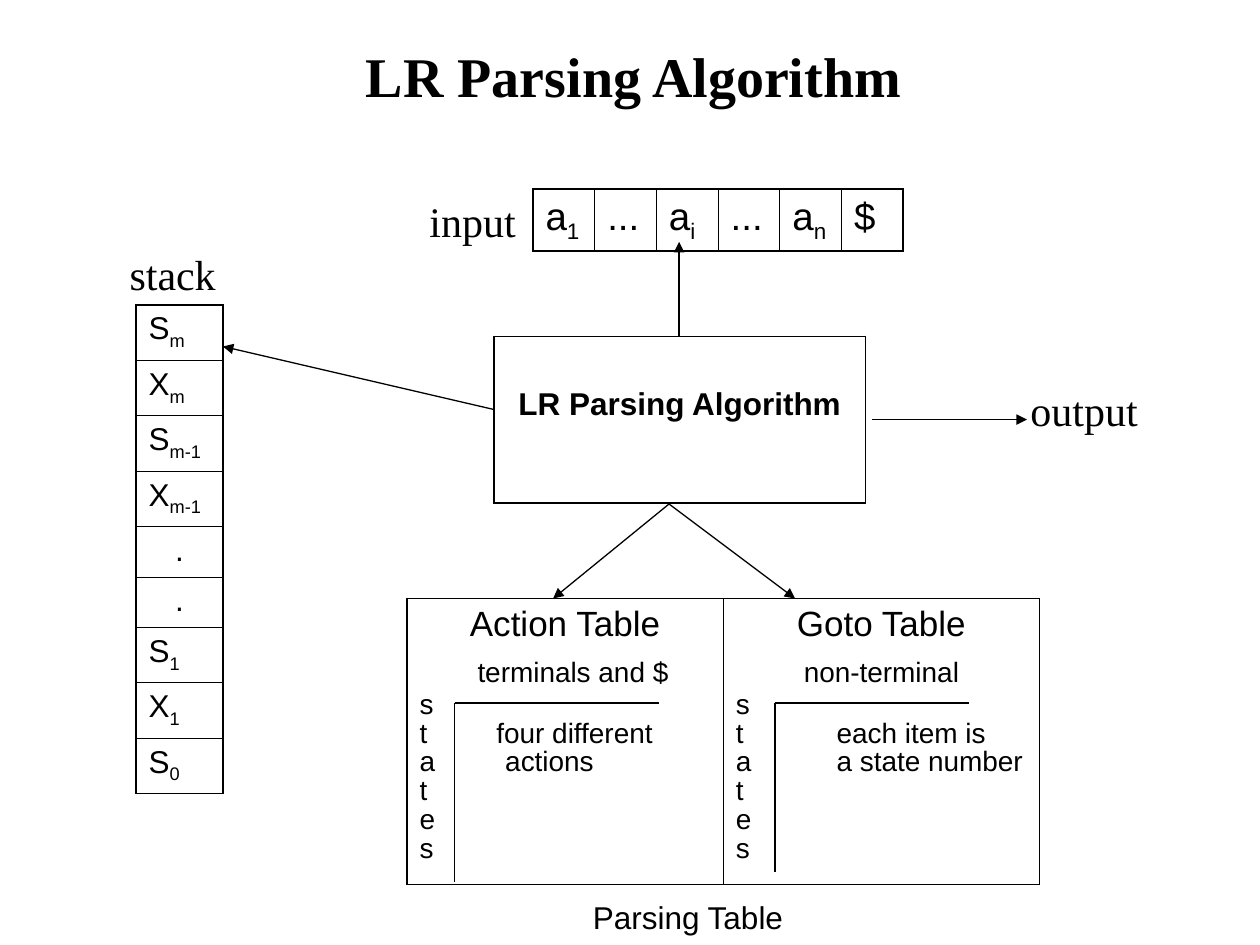
import pptx
import pptx.dml.color
import pptx.enum.shapes
import pptx.enum.text
import pptx.oxml.ns
import pptx.util
from lxml import etree
from pptx.util import Inches

COLORS = {"ink": "000000", "paper": "FFFFFF"}
SANS, SERIF = "Arial", "Times New Roman"
THICK, THIN = 1.08, 0.45
INK = pptx.dml.color.RGBColor.from_string(COLORS["ink"])
CENTER = pptx.enum.text.PP_ALIGN.CENTER
qn = pptx.oxml.ns.qn

presentation = pptx.Presentation()
presentation.slide_width = Inches(10)
presentation.slide_height = Inches(7.5)
slide = presentation.slides.add_slide(presentation.slide_layouts[5])
slide.background.fill.solid()
slide.background.fill.fore_color.rgb = pptx.dml.color.RGBColor.from_string(COLORS["paper"])


def add_run(paragraph, text, size, font=SANS, bold=False, subscript=False):
    run = paragraph.add_run()
    run.text = text
    run.font.size = pptx.util.Pt(size)
    run.font.name = font
    run.font.bold = bold
    run.font.color.rgb = INK
    if subscript:
        run.font._element.set("baseline", "-25000")


def add_grid(left, top, widths, heights):
    """Add an unfilled table with a thick frame and thin inner borders."""
    frame = slide.shapes.add_table(len(heights), len(widths), Inches(left), Inches(top),
                                   Inches(sum(widths)), Inches(sum(heights)))
    table = frame.table
    table.first_row = table.horz_banding = False
    for column, width in zip(table.columns, widths):
        column.width = Inches(width)
    for row, height in zip(table.rows, heights):
        row.height = Inches(height)
    for r in range(len(heights)):
        for c in range(len(widths)):
            cell = table.cell(r, c)
            properties = cell._tc.get_or_add_tcPr()
            on_frame = {"a:lnL": c == 0, "a:lnR": c == len(widths) - 1,
                        "a:lnT": r == 0, "a:lnB": r == len(heights) - 1}
            for tag, outer in on_frame.items():
                width = pptx.util.Pt(THICK if outer else THIN)
                border = etree.SubElement(properties, qn(tag), w=str(int(width)))
                fill = etree.SubElement(border, qn("a:solidFill"))
                etree.SubElement(fill, qn("a:srgbClr"), val=COLORS["ink"])
            cell.fill.background()
    return table


# Title
title = slide.shapes.title
title.left, title.top = Inches(0.33), Inches(0.25)
title.width, title.height = Inches(9.4), Inches(0.7)
title.text_frame.vertical_anchor = pptx.enum.text.MSO_ANCHOR.MIDDLE
title.text_frame.paragraphs[0].alignment = CENTER
add_run(title.text_frame.paragraphs[0], "LR Parsing Algorithm", 32, SERIF, bold=True)

# Stack
stack_items = [("S", "m"), ("X", "m"), ("S", "m-1"), ("X", "m-1"), (".", ""), (".", ""),
               ("S", "1"), ("X", "1"), ("S", "0")]
stack = add_grid(1.08, 2.42, [0.69], [0.44 if index else 0.4 for _, index in stack_items])
for row, (symbol, index) in enumerate(stack_items):
    paragraph = stack.cell(row, 0).text_frame.paragraphs[0]
    add_run(paragraph, symbol, 18)
    if index:
        add_run(paragraph, index, 18, subscript=True)
    else:
        paragraph._p.get_or_add_pPr().set("marL", str(Inches(0.21)))

# Input tape
input_items = [("a", "1"), ("...", ""), ("a", "i"), ("...", ""), ("a", "n"), ("$", "")]
tape = add_grid(4.23, 1.5, [0.49] * len(input_items), [0.49])
for column, (symbol, index) in enumerate(input_items):
    paragraph = tape.cell(0, column).text_frame.paragraphs[0]
    add_run(paragraph, symbol, 22)
    if index:
        add_run(paragraph, index, 22, subscript=True)

# Parsing table: heading, column label and its indent, notes beside "states" and their tab stop
halves = [
    ("Action Table", "terminals and $", 0.46, {1: "four different", 2: "actions"}, {1: 0.61, 2: 0.68}),
    ("Goto Table", "non-terminal", 0.54, {1: "each item is", 2: "a state number"}, {1: 0.8, 2: 0.8}),
]
parsing_table = add_grid(3.23, 4.75, [2.51] * 2, [2.27])
for column, (heading, label, indent, notes, stops) in enumerate(halves):
    text_frame = parsing_table.cell(0, column).text_frame
    text_frame.paragraphs[0].alignment = CENTER
    add_run(text_frame.paragraphs[0], heading, 20)

    paragraph = text_frame.add_paragraph()
    paragraph._p.get_or_add_pPr().set("marL", str(Inches(indent)))
    paragraph.space_before = pptx.util.Pt(7.5)
    add_run(paragraph, label, 16)

    for position, letter in enumerate("states"):
        paragraph = text_frame.add_paragraph()
        if position in notes:
            tabs = etree.SubElement(paragraph._p.get_or_add_pPr(), qn("a:tabLst"))
            etree.SubElement(tabs, qn("a:tab"), pos=str(Inches(stops[position])), algn="l")
            letter += "\t" + notes[position]
        paragraph.line_spacing = 0.7
        paragraph.space_before = pptx.util.Pt(4 if position else 5)
        add_run(paragraph, letter, 16)

# Algorithm box
algorithm = add_grid(3.92, 2.67, [2.95], [1.32]).cell(0, 0)
algorithm.margin_top = Inches(0.4)
algorithm.text_frame.paragraphs[0].alignment = CENTER
add_run(algorithm.text_frame.paragraphs[0], "LR Parsing Algorithm", 18, bold=True)

# Labels
for text, left, top, width, height, size, font in [
    ("stack", 0.93, 1.92, 0.9, 0.5, 24, SERIF),
    ("input", 3.31, 1.5, 0.9, 0.5, 24, SERIF),
    ("output", 8.08, 3, 1.05, 0.5, 24, SERIF),
    ("Parsing Table", 4, 7.08, 2.92, 0.4, 18, SANS),
]:
    box = slide.shapes.add_textbox(Inches(left), Inches(top), Inches(width), Inches(height))
    box.text_frame.word_wrap = font == SANS
    box.text_frame.auto_size = pptx.enum.text.MSO_AUTO_SIZE.SHAPE_TO_FIT_TEXT
    paragraph = box.text_frame.paragraphs[0]
    if font == SANS:
        paragraph.alignment = CENTER
    add_run(paragraph, text, size, font)

# Inner rules of the parsing table, then arrows from the algorithm box
for x1, y1, x2, y2, arrow in [
    (3.61, 5.58, 5.23, 5.58, False),
    (3.61, 5.58, 3.61, 7, False),
    (6.15, 5.58, 7.69, 5.58, False),
    (6.15, 5.58, 6.15, 6.92, False),
    (3.92, 3.25, 1.77, 2.75, True),
    (5.31, 4, 4.39, 4.75, True),
    (5.31, 4, 6.31, 4.75, True),
    (5.39, 2.67, 5.39, 1.92, True),
    (6.92, 3.33, 8.15, 3.33, True),
]:
    connector = slide.shapes.add_connector(pptx.enum.shapes.MSO_CONNECTOR.STRAIGHT,
                                           Inches(x1), Inches(y1), Inches(x2), Inches(y2))
    connector.line.color.rgb = INK
    connector.line.width = pptx.util.Pt(0.75)
    if arrow:
        etree.SubElement(connector.line._get_or_add_ln(), qn("a:tailEnd"), type="triangle")
    etree.SubElement(connector._element.spPr, qn("a:effectLst"))

presentation.save("out.pptx")
